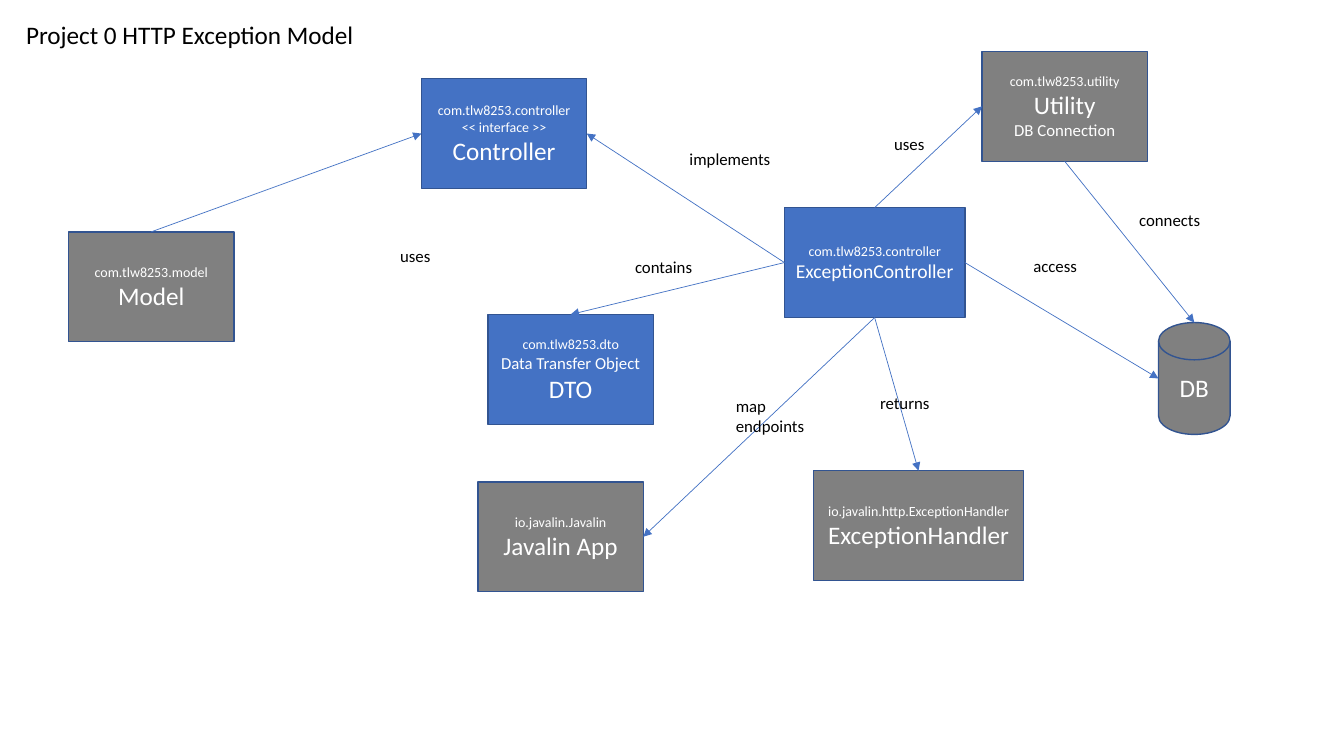
from lxml.etree import SubElement
from pptx import Presentation
from pptx.dml.color import RGBColor
from pptx.enum.shapes import MSO_CONNECTOR as Connector, MSO_SHAPE as Preset
from pptx.enum.text import MSO_ANCHOR as Anchor, PP_ALIGN as Align
from pptx.oxml.ns import qn
from pptx.util import Inches, Pt

BLUE = RGBColor(0x44, 0x72, 0xC4)
GRAY = RGBColor(0x80, 0x80, 0x80)
OUTLINE = RGBColor(0x32, 0x54, 0x91)
WHITE = RGBColor(0xFF, 0xFF, 0xFF)
BLACK = RGBColor(0, 0, 0)

TOP, LEFT, BOTTOM, RIGHT = range(4)
SITE_OFFSETS = {TOP: (0.5, 0), LEFT: (0, 0.5), BOTTOM: (0.5, 1), RIGHT: (1, 0.5)}
BOX_WIDTH, BOX_HEIGHT = 1.64, 1.09

# name: (left, top, width, height), fill, lines of (text, size)
CLASSES = {
    "Controller": ((4.18, 0.78, BOX_WIDTH, BOX_HEIGHT), BLUE,
                   [("com.tlw8253.controller", 10), ("<< interface >>", 10), ("Controller", 18)]),
    "Model": ((0.68, 2.3, BOX_WIDTH, BOX_HEIGHT), GRAY,
              [("com.tlw8253.model", 10), ("Model", 18)]),
    "DTO": ((4.84, 3.12, BOX_WIDTH, BOX_HEIGHT), BLUE,
            [("com.tlw8253.dto", 10), ("Data Transfer Object", 12), ("DTO", 18)]),
    "ExceptionController": ((7.78, 2.06, 1.79, BOX_HEIGHT), BLUE,
                            [("com.tlw8253.controller", 10), ("ExceptionController", 14)]),
    "DB": ((11.49, 3.2, 0.71, 1.11), GRAY, [("DB", 18)]),
    "ExceptionHandler": ((8.07, 4.67, 2.08, BOX_HEIGHT), GRAY,
                         [("io.javalin.http.ExceptionHandler", 10), ("ExceptionHandler", 18)]),
    "Javalin App": ((4.74, 4.78, BOX_WIDTH, BOX_HEIGHT), GRAY,
                    [("io.javalin.Javalin", 10), ("Javalin App", 18)]),
    "Utility": ((9.74, 0.51, BOX_WIDTH, BOX_HEIGHT), GRAY,
                [("com.tlw8253.utility", 10), ("Utility", 18), ("DB Connection", 12)]),
}

RELATIONS = [
    ("Model", TOP, "Controller", LEFT),
    ("ExceptionController", LEFT, "DTO", TOP),
    ("ExceptionController", LEFT, "Controller", RIGHT),
    ("ExceptionController", RIGHT, "DB", LEFT),
    ("ExceptionController", BOTTOM, "ExceptionHandler", TOP),
    ("ExceptionController", BOTTOM, "Javalin App", RIGHT),
    ("ExceptionController", TOP, "Utility", LEFT),
    ("Utility", BOTTOM, "DB", TOP),
]

LABELS = [
    ("contains", (6.2, 2.5, 0.8, 0.3)),
    ("uses", (3.87, 2.39, 0.8, 0.3)),
    ("implements", (6.74, 1.43, 1.16, 0.3)),
    ("access", (10.15, 2.49, 0.8, 0.3)),
    ("returns", (8.63, 3.85, 1.16, 0.3)),
    ("map endpoints", (7.2, 3.88, 0.94, 0.5)),
    ("uses", (8.77, 1.28, 0.8, 0.3)),
    ("connects", (11.2, 2.03, 0.94, 0.3)),
]


def set_attributes(target, values):
    """Set each named attribute of the target."""
    for name, value in values.items():
        setattr(target, name, value)


def write_line(paragraph, text, size, color, align):
    """Write one formatted run into a paragraph."""
    paragraph.alignment = align
    run = paragraph.add_run()
    run.text = text
    set_attributes(run.font, {"name": "Calibri", "size": Pt(size)})
    run.font.color.rgb = color


def add_class(slide, name):
    """Draw a class box, or the database cylinder, with its centred lines."""
    box, fill, lines = CLASSES[name]
    preset = Preset.FLOWCHART_MAGNETIC_DISK if name == "DB" else Preset.RECTANGLE
    shape = slide.shapes.add_shape(preset, *map(Inches, box))
    shape.shadow.inherit = False
    shape.fill.solid()
    shape.fill.fore_color.rgb = fill
    shape.line.color.rgb = OUTLINE
    shape.line.width = Pt(1)
    frame = shape.text_frame
    set_attributes(frame, {"word_wrap": True, "vertical_anchor": Anchor.MIDDLE})
    for index, (text, size) in enumerate(lines):
        paragraph = frame.add_paragraph() if index else frame.paragraphs[0]
        write_line(paragraph, text, size, WHITE, Align.CENTER)
    return shape


def site_point(shape, side):
    """Return the middle of one side of a shape."""
    across, down = SITE_OFFSETS[side]
    return int(shape.left + across * shape.width), int(shape.top + down * shape.height)


def add_relation(slide, source, source_side, target, target_side):
    """Draw an arrow glued to the sides of two shapes."""
    start, end = site_point(source, source_side), site_point(target, target_side)
    arrow = slide.shapes.add_connector(Connector.STRAIGHT, *start, *end)
    arrow.begin_connect(source, source_side)
    # The cylinder has an extra connection site before its top one.
    is_cylinder = target.auto_shape_type == Preset.FLOWCHART_MAGNETIC_DISK
    arrow.end_connect(target, target_side + is_cylinder)
    set_attributes(arrow, {"end_x": end[0], "end_y": end[1]})
    arrow.line.color.rgb = BLUE
    arrow.line.width = Pt(0.5)
    SubElement(arrow.line._get_or_add_ln(), qn("a:tailEnd"), type="triangle")
    SubElement(arrow._element.spPr, qn("a:effectLst"))


def add_label(slide, text, box, size=12):
    """Write black text inside the given box."""
    frame = slide.shapes.add_textbox(*map(Inches, box)).text_frame
    frame.word_wrap = True
    write_line(frame.paragraphs[0], text, size, BLACK, Align.LEFT)


def add_class_diagram(slide):
    """Draw the classes, their relations and the relation labels."""
    shapes = {name: add_class(slide, name) for name in CLASSES}
    for source, source_side, target, target_side in RELATIONS:
        add_relation(slide, shapes[source], source_side, shapes[target], target_side)
    for text, box in LABELS:
        add_label(slide, text, box)


presentation = Presentation()
set_attributes(presentation, {"slide_width": Inches(13.33), "slide_height": Inches(7.5)})
slide = presentation.slides.add_slide(presentation.slide_layouts[6])
add_class_diagram(slide)
add_label(slide, "Project 0 HTTP Exception Model", (0.16, 0.14, 4.65, 0.4), size=18)
presentation.save("out.pptx")
